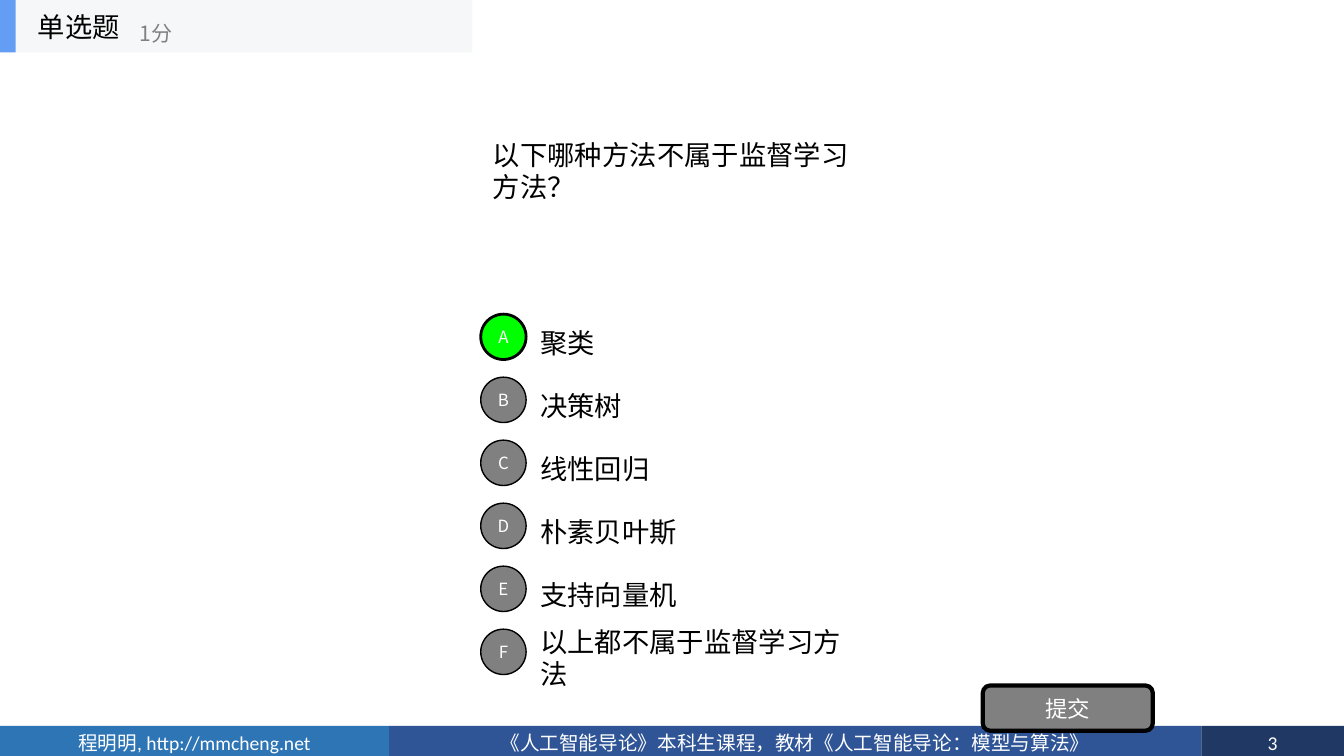
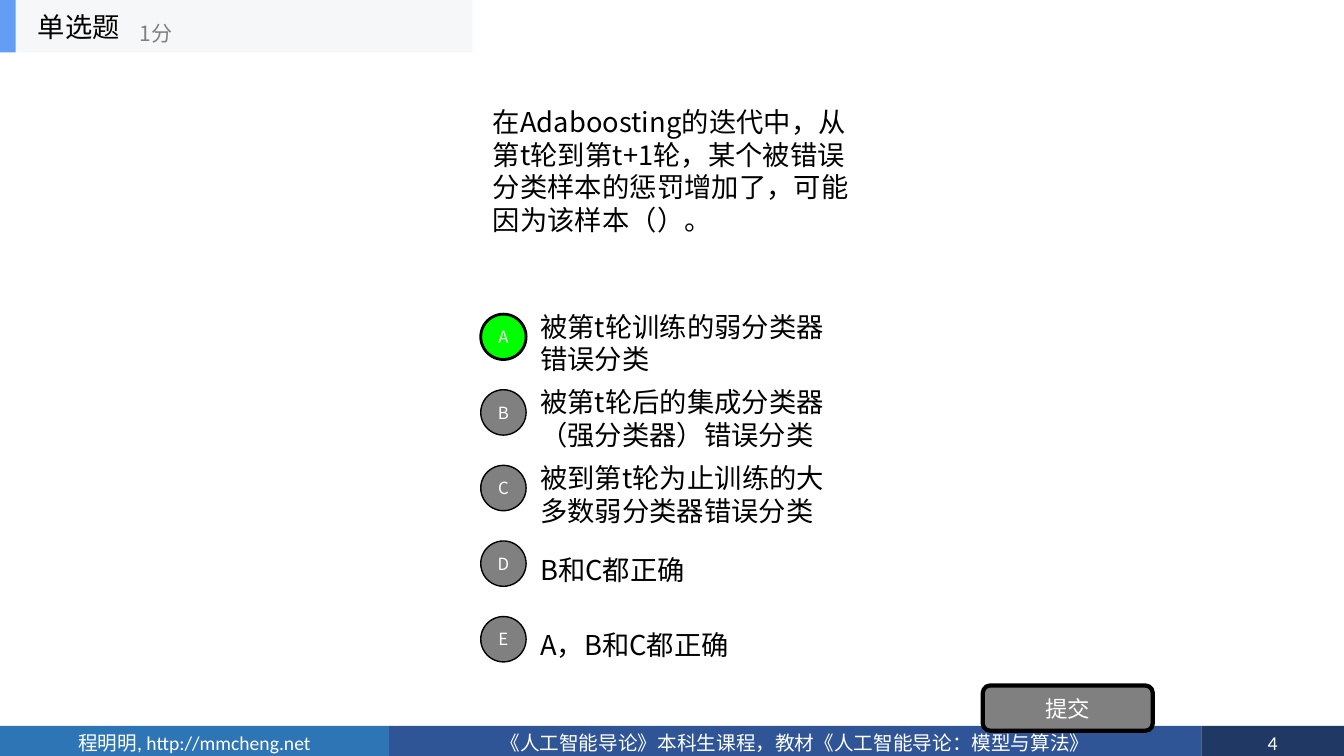
from lxml import etree
from pptx import Presentation
from pptx.dml.color import RGBColor
from pptx.enum.shapes import MSO_SHAPE
from pptx.enum.text import MSO_ANCHOR, PP_ALIGN
from pptx.oxml.ns import qn
from pptx.util import Pt

RECTANGLE = MSO_SHAPE.RECTANGLE
ROUNDED = MSO_SHAPE.ROUNDED_RECTANGLE
OVAL = MSO_SHAPE.OVAL
MIDDLE = MSO_ANCHOR.MIDDLE
LEFT = PP_ALIGN.LEFT
CENTER = PP_ALIGN.CENTER

BLACK = RGBColor(0x00, 0x00, 0x00)
WHITE = RGBColor(0xFF, 0xFF, 0xFF)
GREY = RGBColor(0x80, 0x80, 0x80)
CORRECT_GREEN = RGBColor(0x00, 0xFF, 0x00)
HEADER_GREY = RGBColor(0xF6, 0xF7, 0xF8)
HEADER_BLUE = RGBColor(0x63, 0x9E, 0xF4)
FOOTER_LIGHT = RGBColor(0x2E, 0x75, 0xB6)
FOOTER_MEDIUM = RGBColor(0x2F, 0x55, 0x97)
FOOTER_DARK = RGBColor(0x20, 0x38, 0x64)

CJK_FONT = "Noto Sans CJK SC"
FOOTER_FONT = "Calibri"
BODY_SIZE = 19.5

SLIDE_WIDTH, SLIDE_HEIGHT = 960, 540
HEADER_BOX = (0, 0, 337.5, 37.5)
QUESTION_BOX = (345, 37.5, 270, 168.75)
OPTIONS_LEFT, OPTIONS_TOP, OPTIONS_WIDTH = 343.4, 219.4, 271.6
SUBMIT_BOX = (702, 489.6, 121.5, 32.4)
FOOTER_TOP, FOOTER_HEIGHT = 518.4, 24.3

AUTHOR = "程明明, http://mmcheng.net"
COURSE = "《人工智能导论》本科生课程，教材《人工智能导论：模型与算法》"

FIRST_PAGE = 3
# Question, options, distance between options, correct option
QUESTIONS = [
    (
        "以下哪种方法不属于监督学习方法？",
        ["聚类", "决策树", "线性回归", "朴素贝叶斯", "支持向量机",
         "以上都不属于监督学习方法"],
        45,
        "A",
    ),
    (
        "在Adaboosting的迭代中，从第t轮到第t+1轮，某个被错误分类样本的惩罚增加了，"
        "可能因为该样本（）。",
        ["被第t轮训练的弱分类器错误分类",
         "被第t轮后的集成分类器（强分类器）错误分类",
         "被到第t轮为止训练的大多数弱分类器错误分类",
         "B和C都正确",
         "A，B和C都正确"],
        54,
        "A",
    ),
]


def write(shape, text, size, color, align=LEFT, font_name=CJK_FONT):
    frame = shape.text_frame
    frame.word_wrap = True
    frame.vertical_anchor = MIDDLE
    paragraph = frame.paragraphs[0]
    paragraph.alignment = align
    run = paragraph.add_run()
    run.text = text
    run.font.size = Pt(size)
    run.font.name = font_name
    run.font.color.rgb = color
    east_asian = etree.SubElement(run.font._element, qn("a:ea"))
    east_asian.set("typeface", CJK_FONT)


def add_text(shapes, box, text, size=BODY_SIZE, color=BLACK):
    shape = shapes.add_textbox(*map(Pt, box))
    write(shape, text, size, color)


def add_block(shapes, kind, box, fill, line_width=0):
    shape = shapes.add_shape(kind, *map(Pt, box))
    shape.shadow.inherit = False
    shape.fill.solid()
    shape.fill.fore_color.rgb = fill
    if line_width:
        shape.line.color.rgb = BLACK
        shape.line.width = Pt(line_width)
    else:
        shape.line.fill.background()
    return shape


def add_footer(slide, page):
    """Three bands side by side along the bottom edge."""
    bands = [
        (277.9, FOOTER_LIGHT, AUTHOR),
        (580.3, FOOTER_MEDIUM, COURSE),
        (101.8, FOOTER_DARK, str(page)),
    ]
    left = 0
    for width, fill, text in bands:
        box = (left, FOOTER_TOP, width, FOOTER_HEIGHT)
        band = add_block(slide.shapes, RECTANGLE, box, fill)
        write(band, text, 14, WHITE, CENTER, FOOTER_FONT)
        left += width


def add_header(slide, box):
    """Question type and score on a grey band."""
    left, top, width, height = box
    shapes = slide.shapes.add_group_shape().shapes
    add_block(shapes, RECTANGLE, box, HEADER_GREY)
    add_block(shapes, RECTANGLE, (left, top, 11.25, height), HEADER_BLUE)
    add_text(shapes, (left + 20, top, 112.5, height), "单选题")
    add_text(shapes, (left + 92.5, top + 8.5, 135, 30), "1分", 15, GREY)


def add_options(slide, left, top, width, pitch, options, correct):
    """Lettered circles with the answers to their right."""
    circle_size, text_indent, row_height = 32.4, 35.35, 50.6
    for index, option in enumerate(options):
        letter = chr(ord("A") + index)
        row_top = top + index * pitch
        add_text(
            slide.shapes,
            (left + text_indent, row_top, width - text_indent, row_height),
            option,
        )
        is_correct = letter == correct
        circle = add_block(
            slide.shapes, OVAL, (left, row_top + 5, circle_size, circle_size),
            CORRECT_GREEN if is_correct else GREY, 2 if is_correct else 1,
        )
        frame = circle.text_frame
        frame.margin_left = frame.margin_right = 0
        frame.margin_top = frame.margin_bottom = 0
        write(circle, letter, 12, WHITE, CENTER)


def add_submit_button(slide, box):
    button = add_block(slide.shapes, ROUNDED, box, GREY, 3)
    write(button, "提交", 16, WHITE, CENTER)


def add_question_slide(presentation, page, question, options, pitch, correct):
    slide = presentation.slides.add_slide(presentation.slide_layouts[6])
    add_footer(slide, page)
    add_text(slide.shapes, QUESTION_BOX, question)
    add_options(slide, OPTIONS_LEFT, OPTIONS_TOP, OPTIONS_WIDTH,
                pitch, options, correct)
    add_submit_button(slide, SUBMIT_BOX)
    add_header(slide, HEADER_BOX)


def main():
    presentation = Presentation()
    presentation.slide_width = Pt(SLIDE_WIDTH)
    presentation.slide_height = Pt(SLIDE_HEIGHT)
    for page, content in enumerate(QUESTIONS, FIRST_PAGE):
        add_question_slide(presentation, page, *content)
    presentation.save("out.pptx")


if __name__ == "__main__":
    main()
